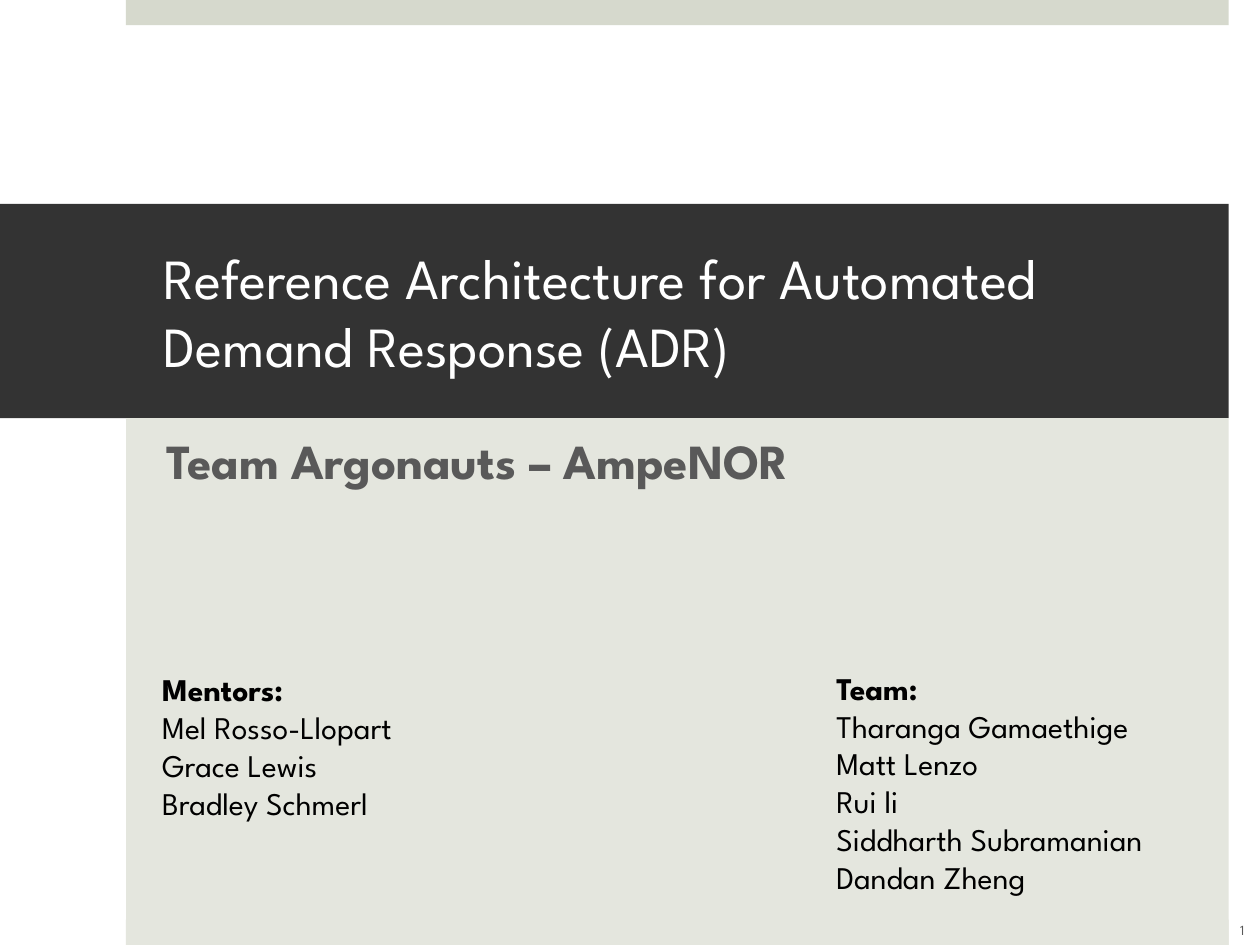
from pptx import Presentation
from pptx.dml.color import RGBColor
from pptx.enum.shapes import MSO_SHAPE
from pptx.enum.text import MSO_ANCHOR as Anchor, MSO_AUTO_SIZE as AutoSize, PP_ALIGN as Align
from pptx.util import Cm, Pt

FONT = "League Spartan"
DARK, GREY, BLACK, WHITE = "333333", "595959", "000000", "FFFFFF"
SAGE, PALE_SAGE = "D6D9CD", "E4E6DE"
MARGIN, PANEL_WIDTH = 2.54, 22.23
BAR_HEIGHT = 0.51
BAND_TOP, BAND_HEIGHT = 4.11, 4.32
SLIDE_WIDTH, SLIDE_HEIGHT = 25.4, 19.05


def color(hex_string):
    """Turn a hex string into a colour."""
    return RGBColor.from_string(hex_string)


def paint(shape, hex_string):
    """Fill a shape with one colour and hide its outline."""
    shape.fill.solid()
    shape.fill.fore_color.rgb = color(hex_string)
    shape.line.fill.background()


def place(shape, box):
    """Move a shape to a box of left, top, width and height."""
    shape.left, shape.top, shape.width, shape.height = map(Cm, box)


def write(paragraph, text, size, hex_string, bold=False, align=Align.LEFT):
    """Add one formatted run to a paragraph."""
    paragraph.alignment = align
    paragraph.space_before = Pt(0)
    run = paragraph.add_run()
    run.text = text
    run.font.name = FONT
    run.font.size = Pt(size)
    run.font.bold = bold
    run.font.color.rgb = color(hex_string)


def add_bar(slide, box, hex_string):
    """Draw a plain horizontal bar."""
    bar = slide.shapes.add_shape(MSO_SHAPE.RECTANGLE, *map(Cm, box))
    bar.shadow.inherit = False
    paint(bar, hex_string)


def fill_placeholder(shape, box, fill, insets, anchor, text, size, ink, bold=False):
    """Place a placeholder as a coloured panel holding one line of thought."""
    place(shape, box)
    paint(shape, fill)
    frame = shape.text_frame
    frame.auto_size = AutoSize.NONE
    frame.word_wrap = True
    frame.vertical_anchor = anchor
    frame.margin_left, frame.margin_top, frame.margin_right, frame.margin_bottom = map(Cm, insets)
    write(frame.paragraphs[0], text, size, ink, bold)


def add_people(slide, box, heading, names):
    """Write a bold heading above a list of names."""
    frame = slide.shapes.add_textbox(*map(Cm, box)).text_frame
    frame.word_wrap = False
    frame.auto_size = AutoSize.SHAPE_TO_FIT_TEXT
    write(frame.paragraphs[0], heading, 18, BLACK, bold=True)
    for name in names:
        write(frame.add_paragraph(), name, 18, BLACK)


def add_page_number(slide, box, number):
    """Write the small page number."""
    frame = slide.shapes.add_textbox(*map(Cm, box)).text_frame
    frame.word_wrap = True
    frame.vertical_anchor = Anchor.MIDDLE
    write(frame.paragraphs[0], number, 8, GREY, align=Align.CENTER)


def build_title_slide(presentation):
    """Compose the title slide."""
    slide = presentation.slides.add_slide(presentation.slide_layouts[0])
    panel_top = BAND_TOP + BAND_HEIGHT
    fill_placeholder(
        slide.shapes.title, (0, BAND_TOP, MARGIN + PANEL_WIDTH, BAND_HEIGHT), DARK,
        (3.3, 0.13, 0.76, 0.13), Anchor.MIDDLE,
        "Reference Architecture for Automated Demand Response (ADR)", 32.4, WHITE)
    fill_placeholder(
        slide.placeholders[1], (MARGIN, panel_top, PANEL_WIDTH, SLIDE_HEIGHT - panel_top), PALE_SAGE,
        (0.81, 0.25, 0.76, 0.25), Anchor.TOP,
        "Team Argonauts – AmpeNOR", 28, GREY, bold=True)
    for top, fill in ((0, SAGE), (SLIDE_HEIGHT - BAR_HEIGHT, PALE_SAGE)):
        add_bar(slide, (MARGIN, top, PANEL_WIDTH, BAR_HEIGHT), fill)
    add_page_number(slide, (24.41, 18.24, 1.27, 1.02), "1")
    add_people(slide, (16.61, 13.36, 7.82, 4.88), "Team:", (
        "Tharanga Gamaethige", "Matt Lenzo", "Rui li", "Siddharth Subramanian", "Dandan Zheng"))
    add_people(slide, (3.02, 13.39, 5.89, 3.33), "Mentors:", (
        "Mel Rosso-Llopart", "Grace Lewis", "Bradley Schmerl"))


def main():
    """Build and save the presentation."""
    presentation = Presentation()
    presentation.slide_width = Cm(SLIDE_WIDTH)
    presentation.slide_height = Cm(SLIDE_HEIGHT)
    build_title_slide(presentation)
    presentation.save("out.pptx")


if __name__ == "__main__":
    main()
